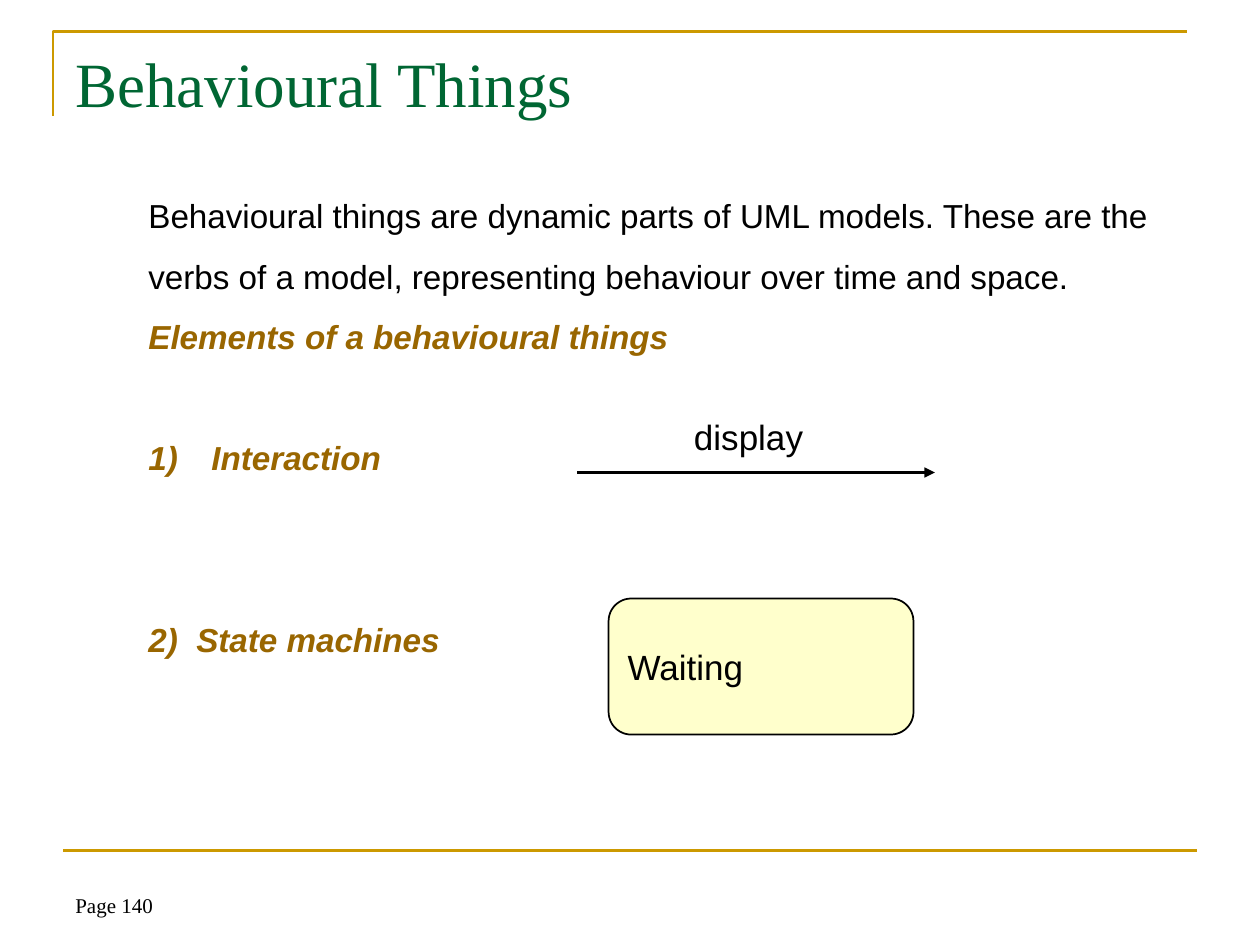
from lxml.etree import SubElement
from pptx import Presentation
from pptx.dml.color import RGBColor
from pptx.enum.shapes import MSO_CONNECTOR, MSO_SHAPE
from pptx.enum.text import MSO_ANCHOR
from pptx.oxml.ns import qn
from pptx.util import Inches, Pt

GOLD = RGBColor(0xCC, 0x99, 0x00)
BROWN = RGBColor(0x99, 0x66, 0x00)
GREEN = RGBColor(0x00, 0x66, 0x33)
CREAM = RGBColor(0xFF, 0xFF, 0xCC)
BLACK = RGBColor(0x00, 0x00, 0x00)

SERIF = "Times New Roman"
SANS = "Arial"


def style(para, size, name=SANS, color=BLACK, emphasis=False):
    font = para.font
    font.size, font.name = Pt(size), name
    font.color.rgb = color
    font.bold = font.italic = emphasis


def add_text(page, box, text, size, name=SANS, color=BLACK,
             anchor=MSO_ANCHOR.TOP):
    frame = page.shapes.add_textbox(*map(Inches, box)).text_frame
    frame.word_wrap = True
    frame.vertical_anchor = anchor
    frame.text = text
    style(frame.paragraphs[0], size, name, color)


def add_line(page, start, end, color):
    line = page.shapes.add_connector(
        MSO_CONNECTOR.STRAIGHT, *map(Inches, start + end))
    line.line.color.rgb = color
    line.line.width = Pt(1.5)
    SubElement(line._element.spPr, qn("a:effectLst"))
    return line


def number_para(para, number, indent):
    """Give a paragraph a hanging number such as 1)."""
    props = para._p.get_or_add_pPr()
    props.set("marL", str(Inches(indent)))
    props.set("indent", str(-Inches(indent)))
    color = SubElement(props, qn("a:buClr"))
    SubElement(color, qn("a:srgbClr"), val=str(BROWN))
    SubElement(props, qn("a:buFont"), typeface=SANS)
    SubElement(props, qn("a:buAutoNum"), type="arabicParenR",
               startAt=str(number))


def add_frame(page, box):
    """Corner rule around the title and rule above the footer."""
    left, top, width, height = map(Inches, box)
    builder = page.shapes.build_freeform(left, top + height)
    builder.add_line_segments([(left, top), (left + width, top)], close=False)
    corner = builder.convert_to_shape()
    corner.shadow.inherit = False
    corner.fill.background()
    corner.line.color.rgb = GOLD
    corner.line.width = Pt(1.5)
    add_line(page, (0.5, 6.75), (9.5, 6.75), GOLD)


def add_body(page, box):
    # text, emphasis, space before, number, hanging indent
    rows = [
        ("Behavioural things are dynamic parts of UML models. These are the",
         False, 0, None, 0),
        ("verbs of a model, representing behaviour over time and space.",
         False, 11.9, None, 0),
        ("Elements of a behavioural things", True, 11.9, None, 0),
        ("Interaction", True, 46.4, 1, 0.5),
        ("State machines", True, 81, 2, 0.38),
    ]
    frame = page.shapes.add_textbox(*map(Inches, box)).text_frame
    frame.word_wrap = True
    frame.text = "\n".join(row[0] for row in rows)
    for para, (_, emphasis, before, number, indent) in zip(frame.paragraphs, rows):
        para.space_before = Pt(before)
        if number:
            number_para(para, number, indent)
        style(para, 19, color=BROWN if emphasis else BLACK, emphasis=emphasis)


def add_interaction(page, box):
    """Message arrow with its label above."""
    left, top, width, height = box
    bottom = top + height
    arrow = add_line(page, (left, bottom), (left + width, bottom), BLACK)
    SubElement(arrow.line._get_or_add_ln(), qn("a:tailEnd"), type="triangle")
    add_text(page, (5.41, top, 1.3, 0.44), "display", 20)


def add_state(page, box):
    state = page.shapes.add_shape(MSO_SHAPE.ROUNDED_RECTANGLE, *map(Inches, box))
    state.shadow.inherit = False
    state.fill.solid()
    state.fill.fore_color.rgb = CREAM
    state.line.color.rgb = BLACK
    state.line.width = Pt(1)
    frame = state.text_frame
    frame.text = "Waiting"
    frame.vertical_anchor = MSO_ANCHOR.MIDDLE
    para = frame.paragraphs[0]
    para._p.get_or_add_pPr().set("algn", "l")
    style(para, 20)


def main():
    deck = Presentation()
    deck.slide_width, deck.slide_height = Inches(10), Inches(7.5)
    page = deck.slides.add_slide(deck.slide_layouts[6])

    add_frame(page, (0.42, 0.25, 9, 0.67))
    add_text(page, (0.5, 6.83, 2.33, 0.5), "Page 140", 12, SERIF,
             anchor=MSO_ANCHOR.BOTTOM)
    add_text(page, (0.5, 0.3, 9, 1.25), "Behavioural Things", 36, SERIF, GREEN)
    add_body(page, (1.08, 1.5, 8.67, 3.79))
    add_interaction(page, (4.58, 3.25, 2.84, 0.5))
    add_state(page, (4.83, 4.75, 2.42, 1.08))

    deck.save("out.pptx")


if __name__ == "__main__":
    main()
